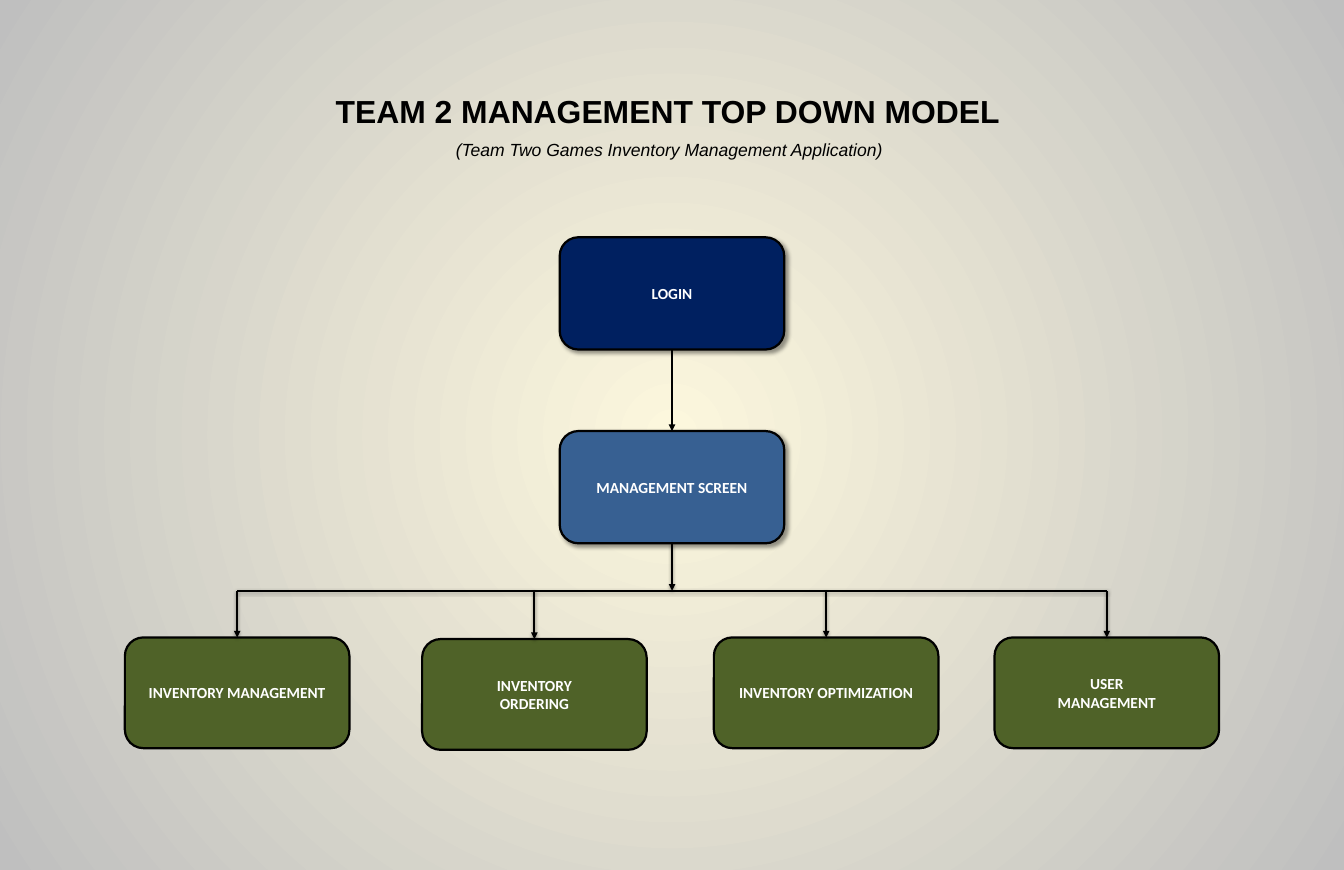
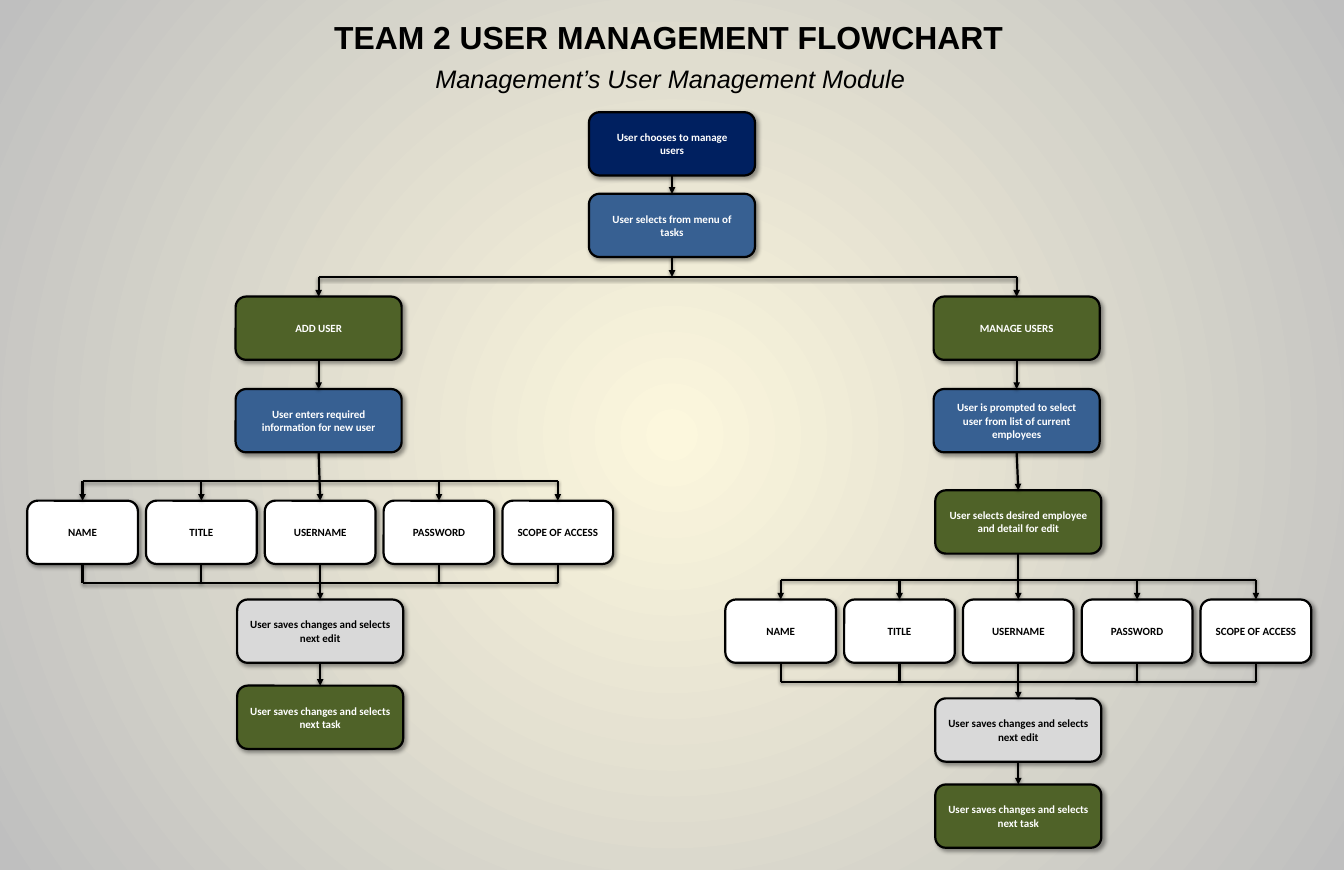
from pptx import Presentation
from pptx.dml.color import RGBColor
from pptx.enum.shapes import MSO_CONNECTOR, MSO_SHAPE
from pptx.enum.text import MSO_ANCHOR, PP_ALIGN
from pptx.oxml.ns import qn
from pptx.util import Pt
from lxml import etree

ROUNDED = MSO_SHAPE.ROUNDED_RECTANGLE
STRAIGHT = MSO_CONNECTOR.STRAIGHT
MIDDLE = MSO_ANCHOR.MIDDLE
CENTER = PP_ALIGN.CENTER
LEFT = PP_ALIGN.LEFT

BLACK, WHITE, GREY = "000000", "FFFFFF", "D9D9D9"
NAVY, BLUE, GREEN = "002060", "376092", "4F6228"
GLOW, EDGE = "FCF7DD", "BFBFBF"

# Box kinds: width, height, font size
MODULE = (204.5, 102.2, 14)
SUBMODULE = (204.5, 100.8, 14)
STEP = (151.2, 57.6, 10)
FIELD = (100.8, 57.6, 10)

# Shadows: opacity in percent, blur, distance, angle
BOX_SHADOW = (40, 4, 3, 45)
LINE_SHADOW = (38, 3.1, 1.6, 90)

FIELDS = ["NAME", "TITLE", "USERNAME", "PASSWORD", "SCOPE OF ACCESS"]
FIELD_PITCH = 108.2
MIDDLE_X = 612


def rgb(value):
    return RGBColor.from_string(value)


def set_shadow(properties, shadow):
    """Fill the effect list; an empty one means no shadow."""
    effects = properties.find(qn("a:effectLst"))
    if effects is None:
        effects = etree.SubElement(properties, qn("a:effectLst"))
    if shadow:
        opacity, blur, distance, angle = shadow
        outer = etree.SubElement(
            effects, qn("a:outerShdw"), blurRad=str(Pt(blur)),
            dist=str(Pt(distance)), dir=str(angle * 60000),
            algn="tl", rotWithShape="0")
        color = etree.SubElement(outer, qn("a:srgbClr"), val=BLACK)
        etree.SubElement(color, qn("a:alpha"), val=str(opacity * 1000))


class Deck:
    """Holds the shared style and the current slide."""

    def __init__(self):
        self.presentation = Presentation()
        self.presentation.slide_width = Pt(1224)
        self.presentation.slide_height = Pt(792)
        self.slide = None
        self.set_background()

    def set_background(self):
        master = self.presentation.slide_master
        fill = master.background.fill
        fill.gradient()
        for stop, position, color in zip(fill.gradient_stops, (0, 1), (GLOW, EDGE)):
            stop.position = position
            stop.color.rgb = rgb(color)
        gradient = next(master.element.iter(qn("a:gradFill")))
        gradient.remove(gradient.find(qn("a:lin")))
        circle = etree.SubElement(gradient, qn("a:path"))
        circle.set("path", "circle")
        etree.SubElement(circle, qn("a:fillToRect"),
                         l="50000", t="50000", r="50000", b="50000")

    def start_slide(self):
        self.slide = self.presentation.slides.add_slide(
            self.presentation.slide_layouts[6])

    def set_text(self, shape, text, font_name, size, color, alignment, margin=8):
        """Fill the shape with styled text and return its paragraphs."""
        frame = shape.text_frame
        frame.word_wrap = True
        frame.vertical_anchor = MIDDLE
        frame.margin_left = frame.margin_right = Pt(margin)
        frame.margin_top = frame.margin_bottom = Pt(margin / 2)
        frame.text = text
        for paragraph in frame.paragraphs:
            paragraph.alignment = alignment
            paragraph.font.name = font_name
            paragraph.font.size = Pt(size)
            paragraph.font.color.rgb = rgb(color)
        return frame.paragraphs

    def heading(self, text, top, width, height, size):
        shape = self.slide.shapes.add_textbox(
            Pt(MIDDLE_X - width / 2), Pt(top), Pt(width), Pt(height))
        return self.set_text(shape, text, "Arial", size, BLACK, LEFT)[0]

    def title(self, text, top, width):
        self.heading(text, top, width, 43.2, 29).font.bold = True

    def subtitle(self, text, top, width, height, size):
        self.heading(text, top, width, height, size).font.italic = True

    def box(self, text, center, top, kind, fill, margin=8, shadow=BOX_SHADOW):
        width, height, size = kind
        shape = self.slide.shapes.add_shape(
            ROUNDED, Pt(center - width / 2), Pt(top), Pt(width), Pt(height))
        shape.fill.solid()
        shape.fill.fore_color.rgb = rgb(fill)
        shape.line.color.rgb = rgb(BLACK)
        shape.line.width = Pt(2)
        shape.shadow.inherit = False
        set_shadow(shape.element.spPr, shadow)
        color = BLACK if fill in (WHITE, GREY) else WHITE
        for paragraph in self.set_text(shape, text, "Calibri", size, color, CENTER, margin):
            paragraph.font.bold = True

    def line(self, x1, y1, x2, y2, arrow=False, shadow=LINE_SHADOW):
        connector = self.slide.shapes.add_connector(
            STRAIGHT, Pt(x1), Pt(y1), Pt(x2), Pt(y2))
        connector.line.color.rgb = rgb(BLACK)
        connector.line.width = Pt(2)
        properties = connector.element.spPr
        if arrow:
            etree.SubElement(properties.find(qn("a:ln")), qn("a:tailEnd"),
                             type="triangle")
        set_shadow(properties, shadow)

    def arrow_down(self, x, top, bottom, shadow=LINE_SHADOW):
        self.line(x, top, x, bottom, True, shadow)

    def field_row(self, center, top, source):
        """Five fields between two rails, entered from the source point."""
        upper, bottom = top - 18, top + FIELD[1]
        lower = bottom + 17.2
        centers = [center + (i - 2) * FIELD_PITCH for i in range(len(FIELDS))]
        for rail in (upper, lower):
            self.line(centers[0], rail, centers[-1], rail)
        for text, x in zip(FIELDS, centers):
            self.box(text, x, top, FIELD, WHITE)
            if x != center:
                self.arrow_down(x, upper, top)
                self.line(x, bottom, x, lower)
        self.line(*source, center, top, True)

    def save_steps(self, center, row_top):
        """The two closing steps below a row of fields."""
        edit, task = row_top + 90, row_top + 168.4
        self.box("User saves changes and selects next edit", center, edit, STEP, GREY)
        self.box("User saves changes and selects next task", center, task, STEP, GREEN)
        self.arrow_down(center, row_top + FIELD[1], edit)
        self.arrow_down(center, edit + STEP[1], task)


def build_top_down_model(deck):
    deck.start_slide()
    deck.title("TEAM 2 MANAGEMENT TOP DOWN MODEL", 79.2, 628.6)
    deck.subtitle("(Team Two Games Inventory Management Application)",
                  122.4, 409.7, 27.4, 16)
    login, screen, rail = 216, 392.4, 537.8
    deck.box("LOGIN", MIDDLE_X, login, MODULE, NAVY)
    deck.box("MANAGEMENT SCREEN", MIDDLE_X, screen, MODULE, BLUE)
    deck.arrow_down(MIDDLE_X, login + MODULE[1], screen, shadow=None)
    deck.arrow_down(MIDDLE_X, screen + MODULE[1], rail)
    submodules = [
        ("INVENTORY MANAGEMENT", 216, 580.3),
        ("INVENTORY\nORDERING", 486.7, 581.8),
        ("INVENTORY OPTIMIZATION", 752.4, 580.3),
        ("USER\nMANAGEMENT", 1008, 580.3),
    ]
    deck.line(submodules[0][1], rail, submodules[-1][1], rail)
    for text, center, top in submodules:
        deck.box(text, center, top, SUBMODULE, GREEN, shadow=None)
        deck.arrow_down(center, rail, top)


def build_user_flowchart(deck):
    deck.start_slide()
    deck.title("TEAM 2 USER MANAGEMENT FLOWCHART", 12.2, 631.4)
    deck.subtitle("Management’s User Management Module", 53.3, 447.1, 36, 23)
    height = STEP[1]
    start, menu, rail, branch, prompt = 102.2, 176.4, 252, 270, 354.2
    add_x, manage_x = 290.2, 925.9
    deck.box("User chooses to manage users", MIDDLE_X, start, STEP, NAVY, 11.5)
    deck.box("User selects from menu of tasks", MIDDLE_X, menu, STEP, BLUE, 11.5)
    deck.arrow_down(MIDDLE_X, start + height, menu)
    deck.arrow_down(MIDDLE_X, menu + height, rail)
    deck.line(add_x, rail, manage_x, rail)
    for center, task, request in [
        (add_x, "ADD USER", "User enters required information for new user"),
        (manage_x, "MANAGE USERS",
         "User is prompted to select user from list of current employees"),
    ]:
        deck.box(task, center, branch, STEP, GREEN, 10)
        deck.box(request, center, prompt, STEP, BLUE, 11.5)
        deck.arrow_down(center, rail, branch)
        deck.arrow_down(center, branch + height, prompt)

    add_fields_x, add_row = 291.6, 455.8
    deck.field_row(add_fields_x, add_row, (add_x, prompt + height))
    deck.save_steps(add_fields_x, add_row)

    edit_x, selection, edit_row = 927.4, 446.4, 545.8
    deck.box("User selects desired employee and detail for edit",
             edit_x, selection, STEP, GREEN, 10)
    deck.line(manage_x, prompt + height, edit_x, selection, True)
    deck.field_row(edit_x, edit_row, (edit_x, selection + height))
    deck.save_steps(edit_x, edit_row)


def main():
    deck = Deck()
    build_top_down_model(deck)
    build_user_flowchart(deck)
    deck.presentation.save("out.pptx")


if __name__ == "__main__":
    main()
